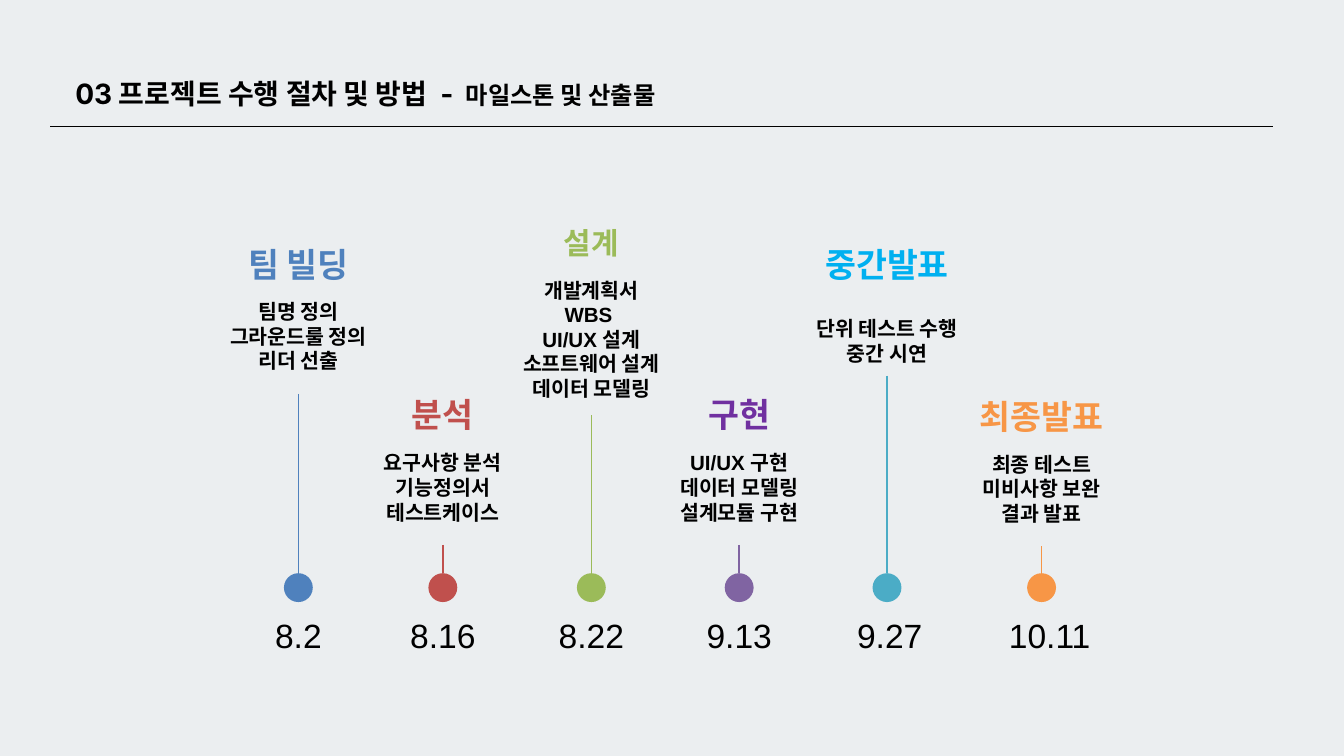
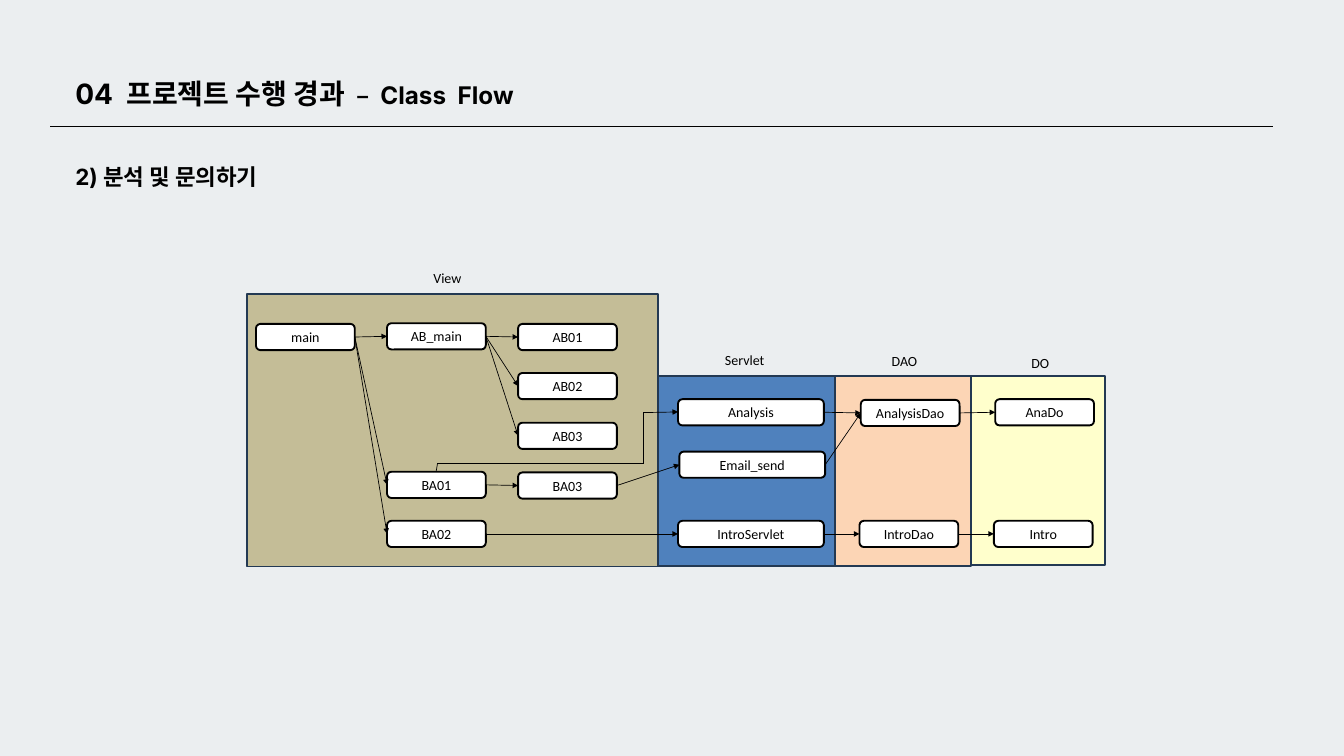
from dataclasses import dataclass
from itertools import pairwise

from lxml import etree
from pptx import Presentation
from pptx.dml.color import RGBColor
from pptx.enum.shapes import MSO_CONNECTOR, MSO_SHAPE
from pptx.enum.text import MSO_ANCHOR, MSO_AUTO_SIZE, PP_ALIGN
from pptx.oxml.ns import qn
from pptx.util import Inches, Pt

STRAIGHT = MSO_CONNECTOR.STRAIGHT
RECT, ROUND, OVAL = MSO_SHAPE.RECTANGLE, MSO_SHAPE.ROUNDED_RECTANGLE, MSO_SHAPE.OVAL
TOP, MIDDLE = MSO_ANCHOR.TOP, MSO_ANCHOR.MIDDLE
LEFT, CENTER = PP_ALIGN.LEFT, PP_ALIGN.CENTER
NO_FIT = MSO_AUTO_SIZE.NONE
TITLE_ONLY = 5
SITE_LEFT, SITE_RIGHT = 1, 3


@dataclass(frozen=True)
class Theme:
    background: str = "EBEEF0"
    ink: str = "000000"
    white: str = "FFFFFF"
    panel_line: str = "233953"
    blue: str = "4F81BD"
    red: str = "C0504D"
    green: str = "9BBB59"
    purple: str = "8064A2"
    violet: str = "7030A0"
    teal: str = "4BACC6"
    cyan: str = "00B0F0"
    orange: str = "F79646"
    khaki: str = "C4BD97"
    peach: str = "FCD5B5"
    cream: str = "FFFFCC"
    title: tuple = ("Inter", 30, True)
    subtitle: tuple = ("Inter", 26, True)
    heading: tuple = ("Inter", 24, True)
    stage: tuple = ("Arial", 36, True)
    small_stage: tuple = ("Arial", 32, True)
    items: tuple = ("Arial", 22, True)
    date: tuple = ("Arial", 36, False)
    label: tuple = ("Calibri", 15, False)
    leading: int = 42
    thin: float = 0.75
    stem: float = 1.5
    border: float = 2


THEME = Theme()


def apply(obj, values):
    for name, value in values.items():
        setattr(obj, name, value)


def rgb(color):
    return RGBColor.from_string(color)


class Deck:
    def __init__(self, theme):
        self.theme = theme
        self.prs = Presentation()
        apply(self.prs, {"slide_width": Inches(20), "slide_height": Inches(11.25)})
        fill = self.prs.slide_master.background.fill
        fill.solid()
        fill.fore_color.rgb = rgb(theme.background)
        self.slide = None

    def new_slide(self, title, subtitle):
        self.slide = self.prs.slides.add_slide(self.prs.slide_layouts[TITLE_ONLY])
        sp = self.slide.shapes.title
        box = {"left": 1.12, "top": 1.05, "width": 14.12, "height": 0.55}
        apply(sp, {name: Inches(value) for name, value in box.items()})
        runs = [(title, self.theme.title), (subtitle, self.theme.subtitle)]
        self.set_text(sp.text_frame, [runs], inset=(0, 0), leading=self.theme.leading)
        self.line((0.75, 1.88), (18.94, 1.88))

    def set_text(self, tf, lines, color=None, align=LEFT, anchor=TOP,
                 inset=(0.1, 0.05), leading=None):
        dx, dy = map(Inches, inset)
        apply(tf, {"word_wrap": True, "auto_size": NO_FIT, "vertical_anchor": anchor,
                   "margin_left": dx, "margin_right": dx,
                   "margin_top": dy, "margin_bottom": dy})
        for i, runs in enumerate(lines):
            p = tf.add_paragraph() if i else tf.paragraphs[0]
            p.alignment = align
            if leading:
                p.line_spacing = Pt(leading)
            for text, (name, size, bold) in runs:
                r = p.add_run()
                r.text = text
                apply(r.font, {"name": name, "size": Pt(size), "bold": bold})
                r.font.color.rgb = rgb(color or self.theme.ink)

    def text(self, box, lines, style, **options):
        sp = self.slide.shapes.add_textbox(*map(Inches, box))
        self.set_text(sp.text_frame, [[(line, style)] for line in lines], **options)

    def shape(self, kind, box, fill, outline=None, text=None):
        sp = self.slide.shapes.add_shape(kind, *map(Inches, box))
        sp.shadow.inherit = False
        sp.fill.solid()
        sp.fill.fore_color.rgb = rgb(fill)
        if outline:
            sp.line.color.rgb = rgb(outline)
            sp.line.width = Pt(self.theme.border)
        else:
            sp.line.fill.background()
        if text:
            self.set_text(sp.text_frame, [[(text, self.theme.label)]],
                          align=CENTER, anchor=MIDDLE)
        return sp

    def line(self, start, end, color=None, width=None, arrow=False):
        sp = self.slide.shapes.add_connector(STRAIGHT, *map(Inches, (*start, *end)))
        sp.line.color.rgb = rgb(color or self.theme.ink)
        sp.line.width = Pt(width or self.theme.thin)
        props = sp.element.spPr
        if arrow:
            etree.SubElement(props.find(qn("a:ln")), qn("a:tailEnd"), type="triangle")
        etree.SubElement(props, qn("a:effectLst"))
        return sp

    def link(self, source, target):
        sp = self.line((0, 0), (1, 1), arrow=True)
        sp.begin_connect(source, SITE_RIGHT)
        sp.end_connect(target, SITE_LEFT)

    def milestone(self, x, color, name, items, date, name_top, items_top, stem_top,
                  name_color=None, name_style=None, date_x=None, date_width=1.55):
        axis, dot, width = 8.53, 0.43, 3.33
        left = x - width / 2
        block = {"align": CENTER, "inset": (0.2, 0.2)}
        self.line((x, stem_top), (x, axis), color, self.theme.stem)
        self.shape(OVAL, (x - dot / 2, axis, dot, dot), color)
        self.text(((date_x or x) - date_width / 2, 9.13, date_width, 0.65), [date],
                  self.theme.date, anchor=MIDDLE, **block)
        self.text((left, items_top, width, 1.61), items, self.theme.items, **block)
        self.text((left, name_top, width, 0.65), [name],
                  name_style or self.theme.stage, color=name_color or color,
                  anchor=MIDDLE, **block)


def build_milestones(deck):
    t = deck.theme
    deck.new_slide("03 프로젝트 수행 절차 및 방법  - ", " 마일스톤 및 산출물")
    deck.milestone(4.44, t.blue, "팀 빌딩", ["팀명 정의", "그라운드룰 정의", "리더 선출"],
                   "8.2", 3.61, 4.25, 5.86)
    deck.milestone(8.8, t.green, "설계",
                   ["개발계획서", "WBS ", "UI/UX 설계", "소프트웨어 설계", "데이터 모델링"],
                   "8.22", 3.29, 3.93, 6.18, name_style=t.small_stage)
    deck.milestone(13.2, t.teal, "중간발표", ["단위 테스트 수행", "중간 시연"],
                   "9.27", 3.61, 4.5, 5.59, name_color=t.cyan,
                   date_x=13.24, date_width=1.8)
    deck.milestone(6.59, t.red, "분석", ["요구사항 분석", "기능정의서", "테스트케이스"],
                   "8.16", 5.84, 6.5, 8.11)
    deck.milestone(11, t.purple, "구현", ["UI/UX 구현", "데이터 모델링", "설계모듈 구현"],
                   "9.13", 5.84, 6.5, 8.11, name_color=t.violet)
    deck.milestone(15.5, t.orange, "최종발표", ["최종 테스트", "미비사항 보완", "결과 발표"],
                   "10.11", 5.86, 6.52, 8.13, date_x=15.62, date_width=1.8)


def build_class_flow(deck):
    t = deck.theme
    deck.new_slide("04  프로젝트 수행 경과", "  –  Class  Flow")
    deck.text((1.12, 2.24, 9.29, 0.52), ["2) 분석 및 문의하기"], t.heading,
              inset=(0, 0), leading=t.leading)

    panels = [
        ((12.43, 5.59, 2.02, 2.83), t.peach),
        ((9.78, 5.59, 2.64, 2.83), t.blue),
        ((3.67, 4.38, 6.12, 4.05), t.khaki),
        ((14.45, 5.6, 2, 2.81), t.cream),
    ]
    for box, fill in panels:
        deck.shape(RECT, box, fill, t.panel_line)

    narrow, wide, height = 1.47, 2.17, 0.39
    columns = [
        (narrow, [("main", 3.81, 4.82), ("AB_main", 5.76, 4.81), ("AB01", 7.71, 4.82),
                  ("AB02", 7.71, 5.55), ("AB03", 7.71, 6.29), ("BA01", 5.76, 7.02),
                  ("BA03", 7.71, 7.03), ("BA02", 5.76, 7.75)]),
        (wide, [("Analysis", 10.09, 5.94), ("Email_send", 10.11, 6.72),
                ("IntroServlet", 10.09, 7.75)]),
        (narrow, [("AnaDo", 14.81, 5.94), ("Intro", 14.79, 7.75),
                  ("AnalysisDao", 12.81, 5.95), ("IntroDao", 12.79, 7.75)]),
    ]
    nodes = {}
    for width, entries in columns:
        for name, x, y in entries:
            nodes[name] = deck.shape(ROUND, (x, y, width, height), t.white, t.ink, name)

    flows = {
        "main": ["AB_main", "BA01", "BA02"],
        "AB_main": ["AB01", "AB02", "AB03"],
        "BA01": ["BA03"],
        "BA03": ["Email_send"],
        "BA02": ["IntroServlet"],
        "Analysis": ["AnalysisDao"],
        "Email_send": ["AnalysisDao"],
        "AnalysisDao": ["AnaDo"],
        "IntroServlet": ["IntroDao"],
        "IntroDao": ["Intro"],
    }
    for source, targets in flows.items():
        for target in targets:
            deck.link(nodes[source], nodes[target])

    detour = [(6.49, 7.02), (6.51, 6.9), (9.57, 6.9), (9.57, 6.14), (10.09, 6.13)]
    for start, end in pairwise(detour):
        deck.line(start, end, arrow=end == detour[-1])

    labels = [("View", 6.35, 3.96, 0.75), ("Servlet", 10.69, 5.18, 1.87),
              ("DAO", 13.17, 5.2, 0.94), ("DO", 15.25, 5.23, 0.94)]
    for name, x, y, width in labels:
        deck.text((x, y, width, 0.35), [name], t.label)


def main():
    deck = Deck(THEME)
    build_milestones(deck)
    build_class_flow(deck)
    deck.prs.save("out.pptx")


if __name__ == "__main__":
    main()
